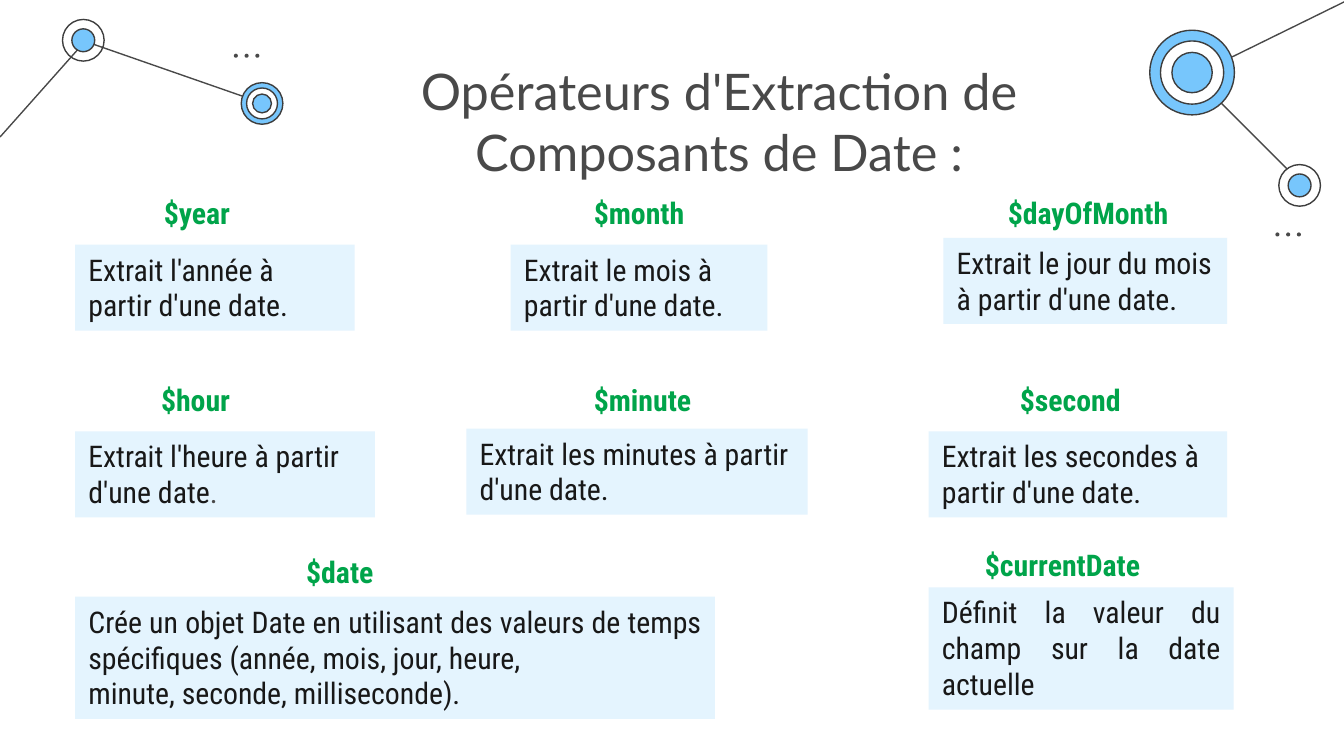
import pptx
import pptx.dml.color
import pptx.enum.shapes
import pptx.enum.text
import pptx.oxml
import pptx.util
from pptx.util import Inches

INK = "494949"
OUTLINE = "3D3D3D"
BLUE = "77C6FC"
WHITE = "FFFFFF"
CARD = "E4F4FE"
BODY = "181818"
GREEN = "00A44A"

ALIGN = pptx.enum.text.PP_ALIGN
SHAPES = pptx.enum.shapes.MSO_SHAPE


def color(value):
    return pptx.dml.color.RGBColor.from_string(value)


def write(para, text, size=16, font="Roboto Condensed", ink=BODY, bold=False):
    span = para.add_run()
    span.text = text
    span.font.size = pptx.util.Pt(size)
    span.font.name = font
    span.font.bold = bold
    span.font.color.rgb = color(ink)


class DatePage:
    """Style and drawing methods for the current slide."""

    line_width = pptx.util.Pt(0.75)
    label_size = (1.69, 0.37)

    def __init__(self, page):
        self.shapes = page.shapes

    def link(self, x1, y1, x2, y2):
        line = self.shapes.add_connector(
            pptx.enum.shapes.MSO_CONNECTOR.STRAIGHT,
            Inches(x1), Inches(y1), Inches(x2), Inches(y2))
        line.line.color.rgb = color(INK)
        line.line.width = self.line_width
        properties = line._element.spPr
        properties.append(pptx.oxml.parse_xml(
            '<a:effectLst xmlns:a='
            '"http://schemas.openxmlformats.org/drawingml/2006/main"/>'))

    def shape(self, kind, left, top, width, height, fill=None, outline=None):
        shape = self.shapes.add_shape(
            kind, Inches(left), Inches(top), Inches(width), Inches(height))
        shape.shadow.inherit = False
        if fill:
            shape.fill.solid()
            shape.fill.fore_color.rgb = color(fill)
        else:
            shape.fill.background()
        if outline:
            shape.line.color.rgb = color(outline)
            shape.line.width = self.line_width
        else:
            shape.line.fill.background()
        return shape

    def node(self, x, y, rings):
        """Draw concentric circles, given from the largest as (diameter, fill)."""
        for size, fill in rings:
            self.shape(SHAPES.OVAL, x - size / 2, y - size / 2, size, size,
                       fill, OUTLINE)

    def dots(self, left, top):
        for i in range(3):
            self.shape(SHAPES.OVAL, left + i * 0.08, top, 0.03, 0.03, INK)

    def text_box(self, left, top, width, height):
        box = self.shapes.add_textbox(
            Inches(left), Inches(top), Inches(width), Inches(height))
        box.text_frame.word_wrap = True
        return box.text_frame

    def title(self, text):
        frame = self.text_box(2.18, 0.35, 6.34, 0.63)
        frame.margin_top = frame.margin_bottom = Inches(0.1)
        para = frame.paragraphs[0]
        para.alignment = ALIGN.CENTER
        write(para, text, size=27, font="Lato", ink=INK)

    def label(self, left, top, text):
        frame = self.text_box(left, top, *self.label_size)
        write(frame.paragraphs[0], text, ink=GREEN, bold=True)

    def card(self, box, lines, align=ALIGN.LEFT):
        frame = self.shape(SHAPES.RECTANGLE, *box, fill=CARD).text_frame
        frame.word_wrap = True
        frame.vertical_anchor = pptx.enum.text.MSO_ANCHOR.TOP
        for i, line in enumerate(lines):
            para = frame.add_paragraph() if i else frame.paragraphs[0]
            para.alignment = align
            write(para, line)
        return frame


def main():
    deck = pptx.Presentation()
    deck.slide_width, deck.slide_height = Inches(10), Inches(10 * 9 / 16)
    page = DatePage(deck.slides.add_slide(deck.slide_layouts[6]))

    for ends in [(9.67, 1.35, 8.87, 0.55), (0.64, 0.31, 1.96, 0.77),
                 (0, 1.02, 0.64, 0.3), (10.01, 0.01, 8.91, 0.55)]:
        page.link(*ends)

    page.node(0.62, 0.3, [(0.31, None), (0.17, BLUE)])
    page.node(1.95, 0.77, [(0.31, BLUE), (0.23, WHITE), (0.14, BLUE)])
    page.node(8.87, 0.54, [(0.63, BLUE), (0.47, WHITE), (0.3, BLUE)])
    page.node(9.67, 1.38, [(0.31, WHITE), (0.17, BLUE)])
    page.dots(1.74, 0.4)
    page.dots(9.49, 1.73)

    page.title("Opérateurs d'Extraction de Composants de Date :")

    row_1, row_2 = 1.4, 2.79
    short, tall = 0.64, 0.91
    operators = [
        ("$year", 1.12, row_1, (0.56, 1.82, 2.08, short),
         "Extrait l'année à partir d'une date."),
        ("$month", 4.32, row_1, (3.8, 1.82, 1.91, short),
         "Extrait le mois à partir d'une date."),
        ("$dayOfMonth", 7.4, row_1, (7.02, 1.77, 2.11, short),
         "Extrait le jour du mois à partir d'une date."),
        ("$minute", 4.32, row_2, (3.47, 3.19, 2.54, short),
         "Extrait les minutes à partir d'une date."),
        ("$second", 7.49, row_2, (6.91, 3.21, 2.22, short),
         "Extrait les secondes à partir d'une date."),
    ]
    for name, left, top, box, text in operators:
        page.card(box, [text])
        page.label(left, top, name)

    hour = page.card((0.56, 3.21, 2.23, short),
                     ["Extrait l'heure à partir d'une date"])
    write(hour.paragraphs[0], ".", ink=INK)
    page.label(1.1, row_2, "$hour")

    page.card((0.56, 4.44, 4.76, tall),
              ["Crée un objet Date en utilisant des valeurs de temps "
               "spécifiques (année, mois, jour, heure, ",
               "minute, seconde, milliseconde)."], ALIGN.JUSTIFY)
    page.label(2.18, 4.07, "$date")

    page.card((6.91, 4.37, 2.27, tall),
              ["Définit la valeur du champ sur la date actuelle"],
              ALIGN.JUSTIFY)
    page.label(7.23, 4.02, "$currentDate")

    deck.save("out.pptx")


if __name__ == "__main__":
    main()
